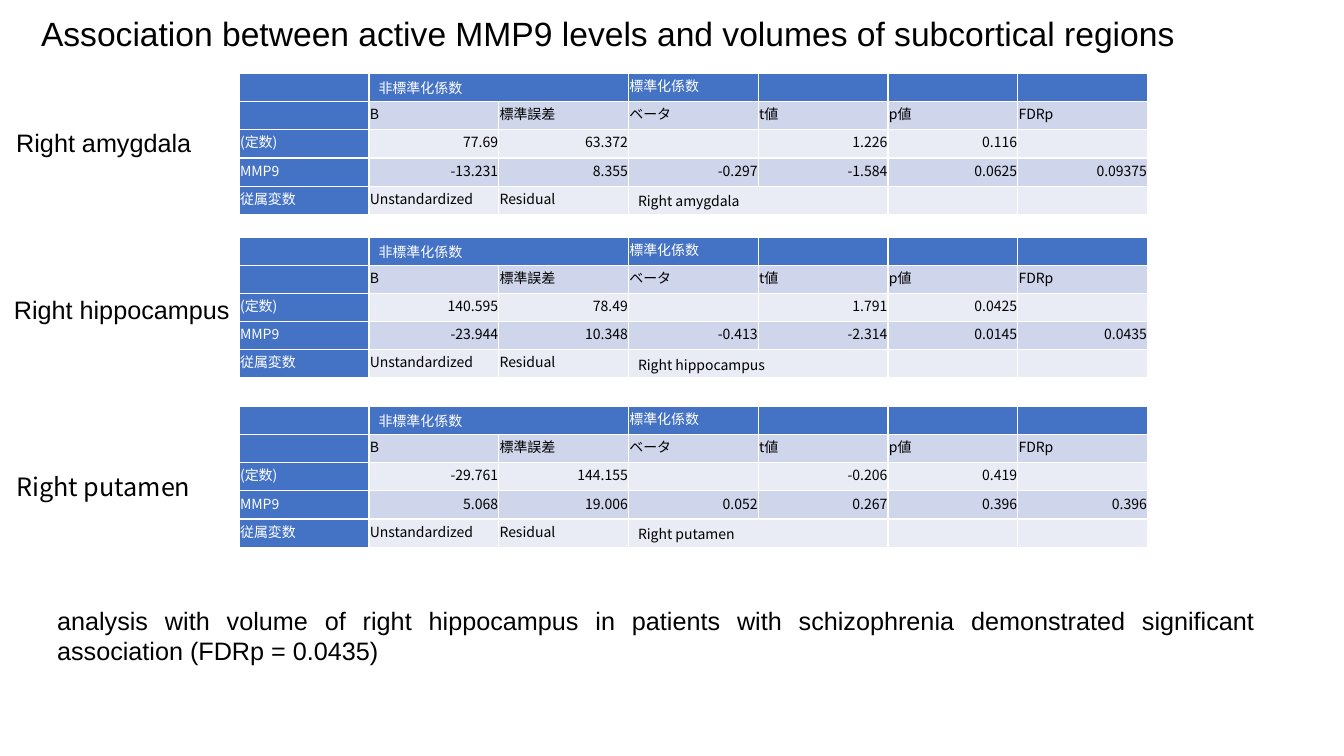
"""Builds a slide of regression tables for MMP9 levels and subcortical volumes."""
from lxml.etree import SubElement
from pptx import Presentation
from pptx.dml.color import RGBColor
from pptx.enum.text import MSO_ANCHOR, MSO_AUTO_SIZE, PP_ALIGN
from pptx.oxml.ns import qn
from pptx.util import Cm, Pt

COLORS = {"header": "4472C4", "dark_band": "CFD5EA", "light_band": "E9EBF5",
          "white": "FFFFFF", "black": "000000"}
SANS = "Arial"
CJK = "Noto Sans CJK JP"
COLUMN_WIDTH, ROW_HEIGHT = 3.27, 0.71
COLUMNS, ROWS = 7, 5
MERGES = {(0, 1): (0, 2), (4, 3): (4, 4)}
NARROW = {"margin_left": Cm(0.02), "margin_top": Cm(0.02),
          "margin_right": Cm(0.02), "margin_bottom": Cm(0.12)}
WIDE = {"margin_left": Cm(0.24), "margin_top": Cm(0.11),
        "margin_right": Cm(0.24), "margin_bottom": Cm(0.11)}
BOX_FORMAT = {"word_wrap": True, "auto_size": MSO_AUTO_SIZE.SHAPE_TO_FIT_TEXT,
              "vertical_anchor": MSO_ANCHOR.TOP}

REGIONS = [
    {"name": "Right amygdala", "top": 1.85, "label": (0.16, 3.08, 4.93), "font": SANS,
     "constant": ["77.69", "63.372", "", "1.226", "0.116", ""],
     "mmp9": ["-13.231", "8.355", "-0.297", "-1.584", "0.0625", "0.09375"]},
    {"name": "Right hippocampus", "top": 5.97, "label": (0.1, 7.28, 6.53), "font": SANS,
     "constant": ["140.595", "78.49", "", "1.791", "0.0425", ""],
     "mmp9": ["-23.944", "10.348", "-0.413", "-2.314", "0.0145", "0.0435"]},
    {"name": "Right putamen", "top": 10.24, "label": (0.16, 11.75, 5.87), "font": CJK,
     "constant": ["-29.761", "144.155", "", "-0.206", "0.419", ""],
     "mmp9": ["5.068", "19.006", "0.052", "0.267", "0.396", "0.396"]},
]


def write(para, text, size, font, color, align):
    para.alignment = align
    span = para.add_run()
    span.text = text
    for name, value in {"size": Pt(size), "name": font}.items():
        setattr(span.font, name, value)
    span.font.color.rgb = RGBColor.from_string(COLORS[color])
    SubElement(span.font._element, qn("a:ea"), typeface=font)


def draw_borders(cell):
    properties = cell._tc.get_or_add_tcPr()
    for side in "LRTB":
        line = SubElement(properties, qn(f"a:ln{side}"), w=str(Pt(1)))
        fill = SubElement(line, qn("a:solidFill"))
        SubElement(fill, qn("a:srgbClr"), val=COLORS["white"])


deck = Presentation()
deck.slide_width, deck.slide_height = Cm(33.87), Cm(19.05)
page = deck.slides.add_slide(deck.slide_layouts[5])

for region in REGIONS:
    rows = [
        ["", "非標準化係数", "", "標準化係数", "", "", ""],
        ["", "B", "標準誤差", "ベータ", "t値", "p値", "FDRp"],
        ["(定数)"] + region["constant"],
        ["MMP9"] + region["mmp9"],
        ["従属変数", "Unstandardized", "Residual", region["name"], "", "", ""],
    ]
    frame = page.shapes.add_table(ROWS, COLUMNS, Cm(6.03), Cm(region["top"]),
                                  Cm(COLUMN_WIDTH * COLUMNS), Cm(ROW_HEIGHT * ROWS))
    table = frame.table
    for column in table.columns:
        column.width = Cm(COLUMN_WIDTH)
    for row in table.rows:
        row.height = Cm(ROW_HEIGHT)
    for start, end in MERGES.items():
        table.cell(*start).merge(table.cell(*end))

    for row_index, texts in enumerate(rows):
        for column_index, text in enumerate(texts):
            cell = table.cell(row_index, column_index)
            if cell.is_spanned:
                continue
            is_header = row_index == 0 or column_index == 0
            band = "dark_band" if row_index % 2 else "light_band"
            draw_borders(cell)
            cell.fill.solid()
            cell.fill.fore_color.rgb = RGBColor.from_string(
                COLORS["header" if is_header else band])
            cell.vertical_anchor = MSO_ANCHOR.MIDDLE
            margins = WIDE if cell.is_merge_origin else NARROW
            for name, value in margins.items():
                setattr(cell, name, value)
            para = cell.text_frame.paragraphs[0]
            if text:
                is_number = row_index in (2, 3) and column_index > 0
                write(para, text, 10, CJK, "white" if is_header else "black",
                      PP_ALIGN.RIGHT if is_number else PP_ALIGN.LEFT)
            else:
                SubElement(para._p, qn("a:endParaRPr"), sz="1000")

notes = [(1.19, 15.13, 30.68, 1.8, SANS,
          "analysis with volume of right hippocampus in patients with schizophrenia "
          "demonstrated significant association (FDRp = 0.0435)")]
notes += [(*region["label"], 1.02, region["font"], region["name"]) for region in REGIONS]
for left, top, width, height, font, text in notes:
    box = page.shapes.add_textbox(Cm(left), Cm(top), Cm(width), Cm(height))
    for name, value in BOX_FORMAT.items():
        setattr(box.text_frame, name, value)
    write(box.text_frame.paragraphs[0], text, 18, font, "black", PP_ALIGN.JUSTIFY)

title = page.shapes.title
for name, value in {"left": 0.78, "top": 0.2, "width": 31.09, "height": 1.27}.items():
    setattr(title, name, Cm(value))
for name, value in BOX_FORMAT.items():
    setattr(title.text_frame, name, value)
write(title.text_frame.paragraphs[0],
      "Association between active MMP9 levels and volumes of subcortical regions",
      24, SANS, "black", PP_ALIGN.LEFT)

deck.save("out.pptx")
